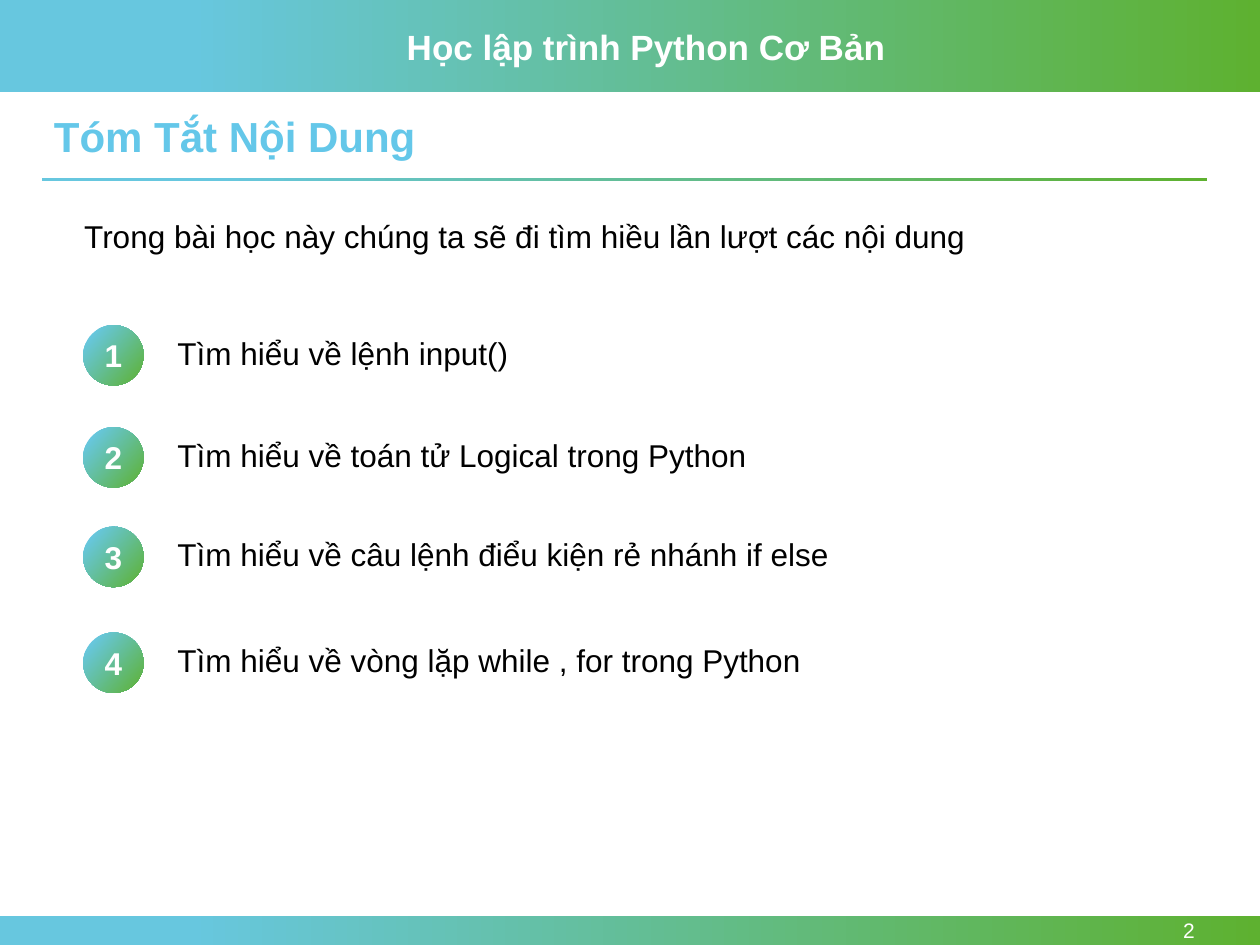
import pptx
import pptx.util
import pptx.dml.color
import pptx.enum.shapes
import pptx.enum.text

Inches = pptx.util.Inches
SHAPE = pptx.enum.shapes.MSO_SHAPE
ALIGN = pptx.enum.text.PP_ALIGN
ANCHOR = pptx.enum.text.MSO_ANCHOR

BLUE, GREEN = "67C7DF", "5EB130"
TITLE_BLUE, WHITE, BLACK = "64C7E9", "FFFFFF", "000000"


def rgb(value):
    return pptx.dml.color.RGBColor.from_string(value)


def write(sp, text, size, color, bold=False, align=ALIGN.LEFT, anchor=ANCHOR.TOP):
    tf = sp.text_frame
    tf.word_wrap = True
    tf.vertical_anchor = anchor
    p = tf.paragraphs[0]
    p.alignment = align
    r = p.add_run()
    r.text = text
    r.font.name = "Arial"
    r.font.size = pptx.util.Pt(size)
    r.font.bold = bold
    r.font.color.rgb = rgb(color)
    return p


def add_text(s, box, text, size, color, **style):
    sp = s.shapes.add_textbox(*map(Inches, box))
    return write(sp, text, size, color, **style)


def add_gradient(s, kind, box, angle=0):
    sp = s.shapes.add_shape(kind, *map(Inches, box))
    sp.shadow.inherit = False
    sp.line.fill.background()
    sp.fill.gradient()
    sp.fill.gradient_angle = angle
    stops = ((0.15, BLUE), (1, GREEN))
    for stop, (position, color) in zip(sp.fill.gradient_stops, stops):
        stop.position = position
        stop.color.rgb = rgb(color)
    return sp


def add_topic(s, number, top, text):
    sp = add_gradient(s, SHAPE.OVAL, (0.66, top, 0.48, 0.48), 320)
    write(sp, str(number), 18, WHITE, bold=True,
          align=ALIGN.CENTER, anchor=ANCHOR.MIDDLE)
    add_text(s, (1.31, top + 0.02, 5.66, 0.4), text, 18, BLACK)


def main():
    prs = pptx.Presentation()
    prs.slide_width, prs.slide_height = Inches(10), Inches(7.5)
    s = prs.slides.add_slide(prs.slide_layouts[6])

    for bar in ((0, 0, 10, 0.73), (0, 7.27, 10, 0.23), (0.33, 1.41, 9.25, 0.03)):
        add_gradient(s, SHAPE.RECTANGLE, bar)
    add_text(s, (3.13, 0.15, 4, 0.44), "Học lập trình Python Cơ Bản",
             20, WHITE, bold=True)
    add_text(s, (8.66, 7.27, 0.92, 0.23), "2", 12, WHITE,
             align=ALIGN.RIGHT, anchor=ANCHOR.MIDDLE)
    p = add_text(s, (0.33, 0.87, 9.25, 0.46), "Tóm Tắt Nội Dung",
                 24, TITLE_BLUE, bold=True)
    p.line_spacing = 0.9
    p.space_before = pptx.util.Pt(10)

    topics = (
        (2.58, "Tìm hiểu về lệnh input()"),
        (3.39, "Tìm hiểu về toán tử Logical trong Python"),
        (4.18, "Tìm hiểu về câu lệnh điểu kiện rẻ nhánh if else"),
        (5.02, "Tìm hiểu về vòng lặp while , for trong Python"),
    )
    for number, (top, text) in enumerate(topics, 1):
        add_topic(s, number, top, text)
    add_text(s, (0.57, 1.67, 9.01, 0.4),
             "Trong bài học này chúng ta sẽ đi tìm hiều lần lượt các nội dung",
             18, BLACK)

    prs.save("out.pptx")


main()
